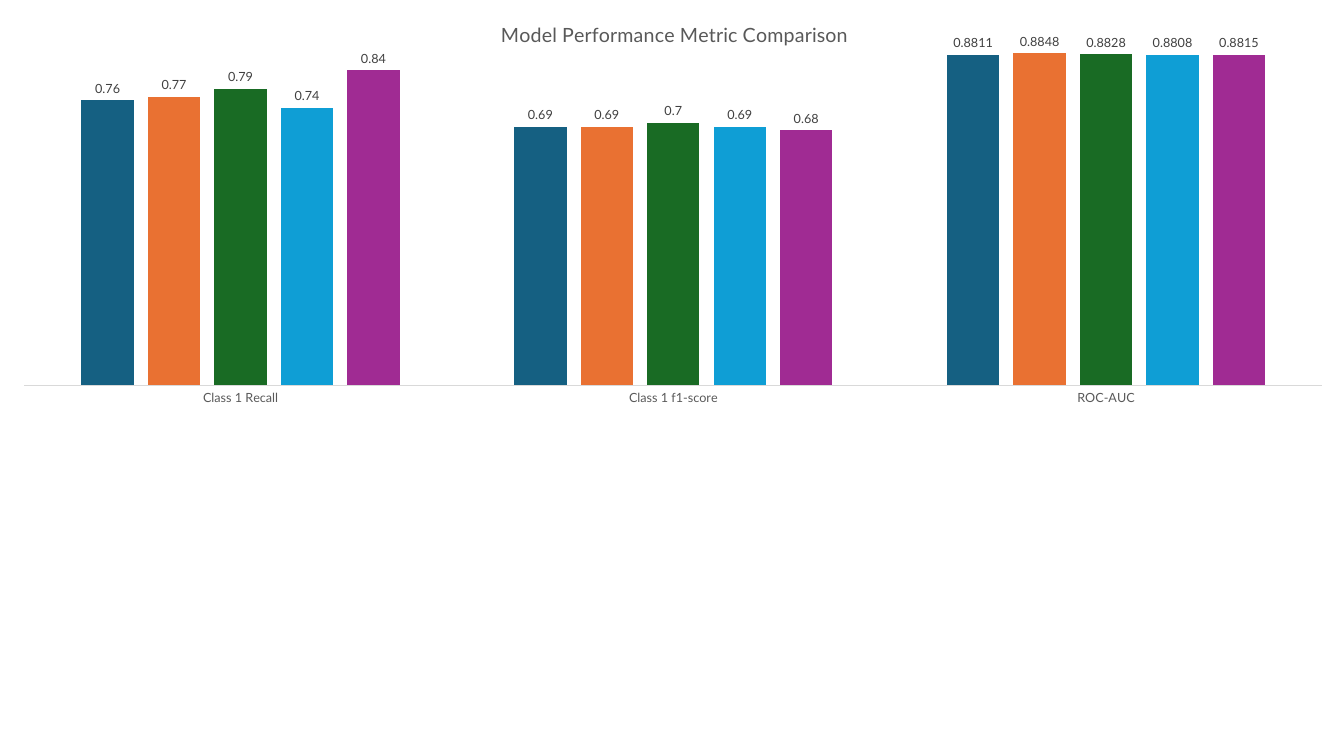
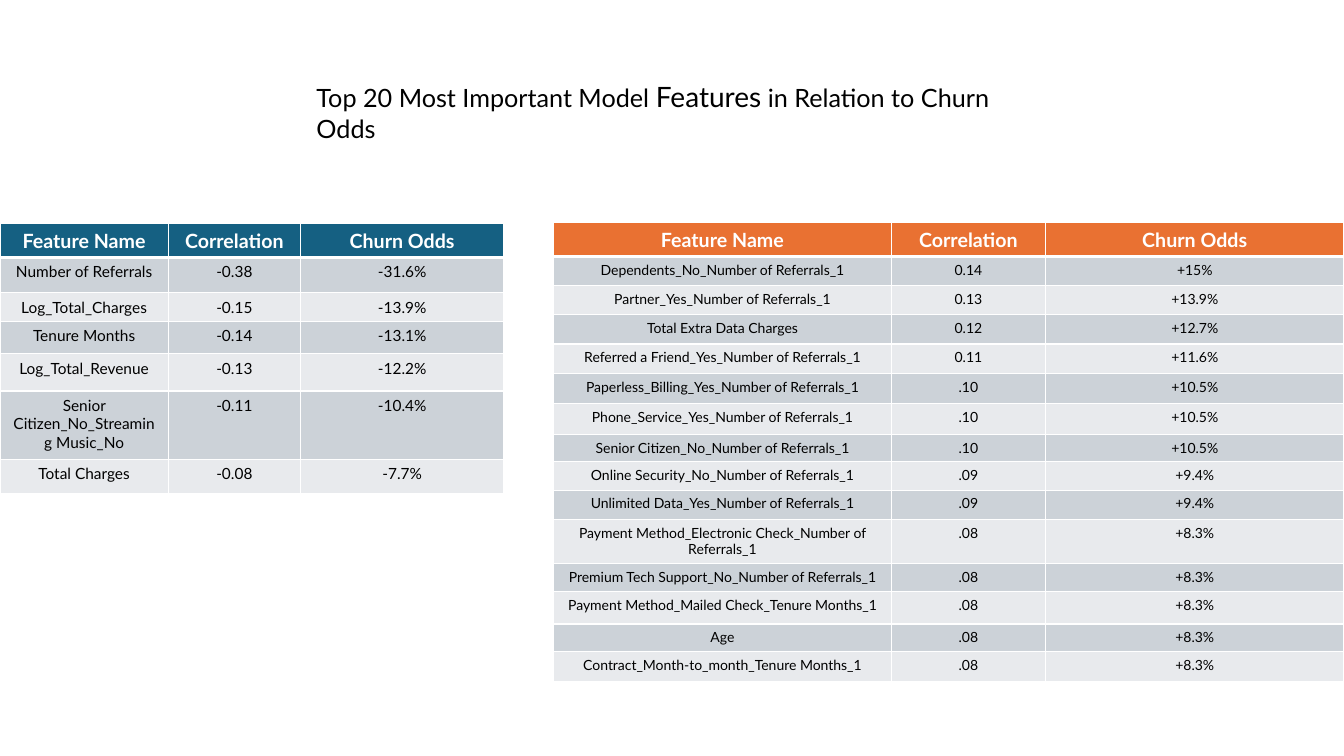
import pptx
import pptx.util
import pptx.chart.data
import pptx.dml.color
import pptx.enum.chart
import pptx.enum.text
import pptx.oxml
import pptx.oxml.ns

Inches = pptx.util.Inches
FONT = "Lato"
HUES = {
    "blue": "156082", "orange": "E97132", "green": "196B24",
    "sky": "0F9ED5", "plum": "A02B93", "white": "FFFFFF",
    "black": "000000", "gray": "595959", "dark": "404040",
    "rule": "D9D9D9", "odd": "CCD2D8", "even": "E8EAED",
}
RGB = {name: pptx.dml.color.RGBColor.from_string(code) for name, code in HUES.items()}
NS = pptx.oxml.ns.nsdecls


def write(para, text, size=10, color="black", bold=False, align=None):
    """Add a formatted run to a paragraph."""
    run = para.add_run()
    run.text = text
    style(run.font, size, color, bold)
    if align is not None:
        para.alignment = align


def style(font, size, color, bold=False):
    font.name = FONT
    font.size = pptx.util.Pt(size)
    font.bold = bold
    font.color.rgb = RGB[color]


deck = pptx.Presentation()
deck.slide_width, deck.slide_height = Inches(13.33), Inches(7.5)
blank = deck.slide_layouts[6]
center = pptx.enum.text.PP_ALIGN.CENTER

# Metric chart
slide = deck.slides.add_slide(blank)
data = pptx.chart.data.CategoryChartData()
data.categories = ["Class 1 Recall", "Class 1 f1-score", "ROC-AUC"]
models = [
    ("blue", (0.76, 0.69, 0.8811)),
    ("orange", (0.77, 0.69, 0.8848)),
    ("green", (0.79, 0.7, 0.8828)),
    ("sky", (0.74, 0.69, 0.8808)),
    ("plum", (0.84, 0.68, 0.8815)),
]
for num, (hue, vals) in enumerate(models, 1):
    data.add_series(f"Series {num}", vals)
chart = slide.shapes.add_chart(
    pptx.enum.chart.XL_CHART_TYPE.COLUMN_CLUSTERED,
    0, 0, Inches(13.33), Inches(4.18), data).chart
style(chart.font, 10, "black")
chart.has_legend = False

# Bars and labels
plot = chart.plots[0]
plot.gap_width, plot.overlap = 219, -27
plot.vary_by_categories = False
for series, (hue, vals) in zip(plot.series, models):
    series.format.fill.solid()
    series.format.fill.fore_color.rgb = RGB[hue]
    series.invert_if_negative = False
    labels = series.data_labels
    labels.show_value = True
    labels.position = pptx.enum.chart.XL_LABEL_POSITION.OUTSIDE_END
    style(labels.font, 9, "dark")

# Axes
none = pptx.enum.chart.XL_TICK_MARK.NONE
cats = chart.category_axis
cats.major_tick_mark = cats.minor_tick_mark = none
style(cats.tick_labels.font, 9, "gray")
cats.format.line.color.rgb = RGB["rule"]
cats.format.line.width = pptx.util.Pt(0.75)
scale = chart.value_axis
scale.minimum_scale, scale.maximum_scale, scale.major_unit = 0, 0.95, 0.05
scale.has_major_gridlines = False
scale.visible = False

# Chart title, then fixed places for title and plot
chart.has_title = True
title = chart.chart_title
write(title.text_frame.paragraphs[0], "Model Performance Metric Comparison",
      size=14, color="gray")
title.include_in_layout = False
area = chart._chartSpace.find(".//" + pptx.oxml.ns.qn("c:plotArea"))
for part, spot, target, box in [
    (title._element, 1, "", {"x": 0.37, "y": 0.04}),
    (area, 0, '<c:layoutTarget val="inner"/>',
     {"x": 0.018, "y": 0.069, "w": 0.966, "h": 0.846}),
]:
    for old in part.findall(pptx.oxml.ns.qn("c:layout")):
        part.remove(old)
    modes = "".join(f'<c:{key}Mode val="edge"/>' for key in "xy")
    sizes = "".join(f'<c:{key} val="{val}"/>' for key, val in box.items())
    part.insert(spot, pptx.oxml.parse_xml(
        f'<c:layout {NS("c")}><c:manualLayout>{target}{modes}{sizes}'
        '</c:manualLayout></c:layout>'))

# Feature tables
slide = deck.slides.add_slide(blank)
heads = ("Feature Name", "Correlation", "Churn Odds")
falls = [
    ("Number of Referrals", "-0.38", "-31.6%"),
    ("Log_Total_Charges", "-0.15", "-13.9%"),
    ("Tenure Months", "-0.14", "-13.1%"),
    ("Log_Total_Revenue", "-0.13", "-12.2%"),
    ("Senior Citizen_No_Streaming Music_No", "-0.11", "-10.4%"),
    ("Total Charges", "-0.08", "-7.7%"),
]
gains = [
    ("Dependents_No_Number of Referrals_1", "0.14", "+15%"),
    ("Partner_Yes_Number of Referrals_1", "0.13", "+13.9%"),
    ("Total Extra Data Charges", "0.12", "+12.7%"),
    ("Referred a Friend_Yes_Number of Referrals_1", "0.11", "+11.6%"),
    ("Paperless_Billing_Yes_Number of Referrals_1", ".10", "+10.5%"),
    ("Phone_Service_Yes_Number of Referrals_1", ".10", "+10.5%"),
    ("Senior Citizen_No_Number of Referrals_1", ".10", "+10.5%"),
    ("Online Security_No_Number of Referrals_1", ".09", "+9.4%"),
    ("Unlimited Data_Yes_Number of Referrals_1", ".09", "+9.4%"),
    ("Payment Method_Electronic Check_Number of Referrals_1", ".08", "+8.3%"),
    ("Premium Tech Support_No_Number of Referrals_1", ".08", "+8.3%"),
    ("Payment Method_Mailed Check_Tenure Months_1", ".08", "+8.3%"),
    ("Age", ".08", "+8.3%"),
    ("Contract_Month-to_month_Tenure Months_1", ".08", "+8.3%"),
]
tables = [
    (0, 2.22, "blue", 11, falls, (1.67, 1.31, 2.02),
     (0.33, 0.35, 0.28, 0.32, 0.37, 0.68, 0.34)),
    (5.49, 2.21, "orange", 10, gains, (3.35, 1.53, 2.96),
     (0.33, 0.29, 0.29, 0.29, 0.29, 0.3, 0.31, 0.27, 0.28, 0.29,
      0.44, 0.28, 0.32, 0.27, 0.3)),
]
for left, top, hue, size, body, wides, highs in tables:
    grid = slide.shapes.add_table(
        len(highs), len(wides), Inches(left), Inches(top),
        Inches(sum(wides)), Inches(sum(highs))).table
    for col, wide in zip(grid.columns, wides):
        col.width = Inches(wide)
    for row, (line, high) in enumerate(zip([heads] + body, highs)):
        grid.rows[row].height = Inches(high)
        head = row == 0
        fill = hue if head else "odd" if row % 2 else "even"
        for col, text in enumerate(line):
            cell = grid.cell(row, col)
            write(cell.text_frame.paragraphs[0], text, align=center, bold=head,
                  size=14 if head else size, color="white" if head else "black")
            # White borders, thick between head and body
            props = cell._tc.get_or_add_tcPr()
            for side in "LRTB":
                thick = (head and side == "B") or (row == 1 and side == "T")
                props.append(pptx.oxml.parse_xml(
                    f'<a:ln{side} {NS("a")} w="{pptx.util.Pt(3 if thick else 1)}">'
                    f'<a:solidFill><a:srgbClr val="{HUES["white"]}"/></a:solidFill>'
                    f'</a:ln{side}>'))
            cell.fill.solid()
            cell.fill.fore_color.rgb = RGB[fill]

# Slide heading
frame = slide.shapes.add_textbox(
    Inches(3.04), Inches(0.74), Inches(7.25), Inches(0.44)).text_frame
frame.word_wrap = True
for text, size in [("Top 20 Most Important Model ", 18), ("Features", 20),
                   (" in Relation to Churn Odds", 18)]:
    write(frame.paragraphs[0], text, size=size)

deck.save("out.pptx")
